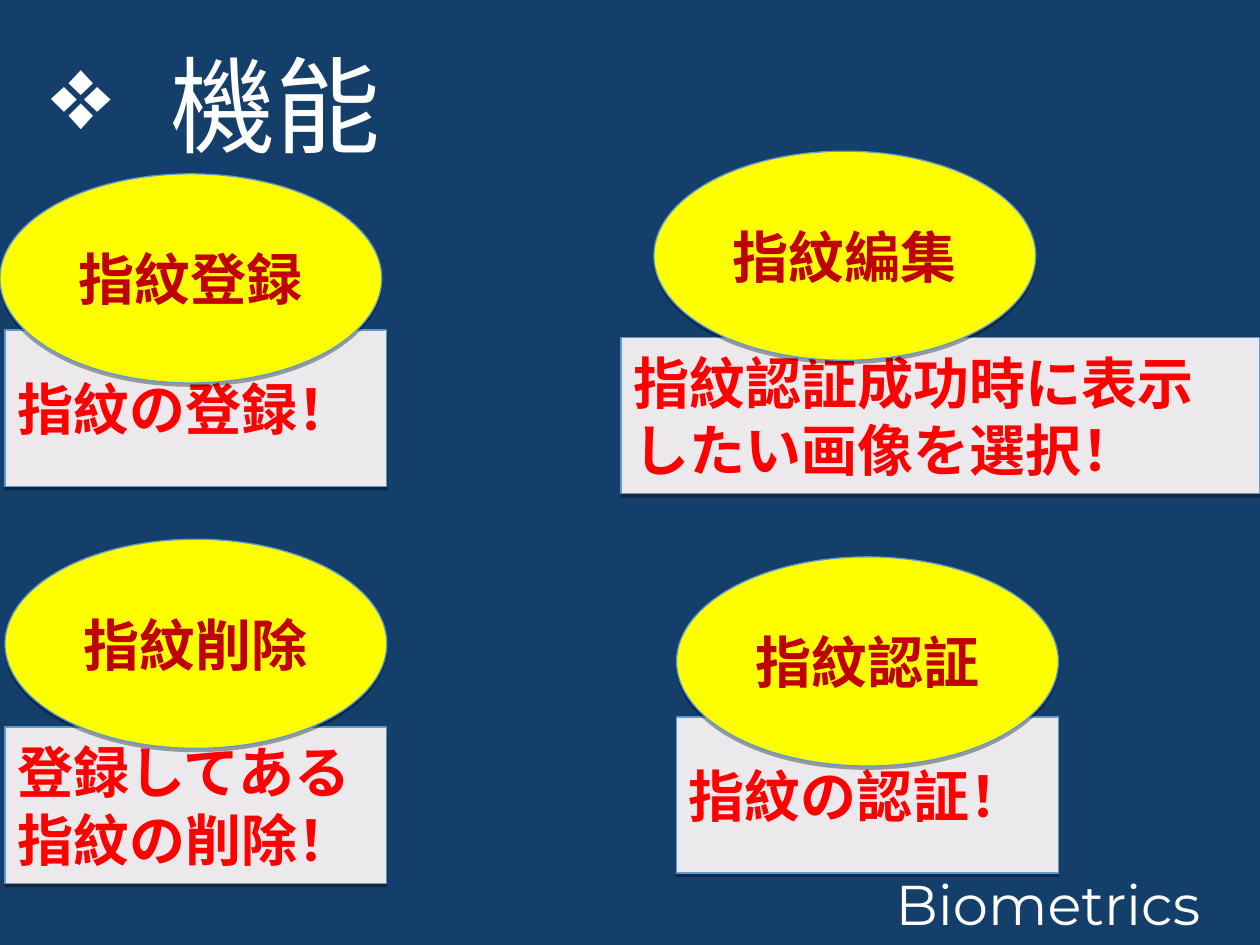
from dataclasses import dataclass

from lxml.etree import SubElement
from pptx import Presentation
from pptx.dml.color import RGBColor
from pptx.enum.shapes import MSO_SHAPE
from pptx.enum.text import MSO_ANCHOR, MSO_AUTO_SIZE, PP_ALIGN
from pptx.oxml.ns import qn
from pptx.util import Inches, Pt

NAVY = RGBColor(0x14, 0x3F, 0x6A)
WHITE = RGBColor(0xFF, 0xFF, 0xFF)
PALE_GRAY = RGBColor(0xEB, 0xE9, 0xEC)
YELLOW = RGBColor(0xFF, 0xFF, 0x00)
RED = RGBColor(0xFF, 0x00, 0x00)
DARK_RED = RGBColor(0xC0, 0x00, 0x00)
OUTLINE_BLUE = RGBColor(0x5D, 0x9A, 0xCF)

FEATURE_WIDTH = 3.03
BOX_HEIGHT = 1.24
ELLIPSE_HEIGHT = 1.66


@dataclass(frozen=True)
class Style:
    geometry: MSO_SHAPE
    fill: RGBColor
    text_color: RGBColor
    alignment: PP_ALIGN
    height: float


@dataclass(frozen=True)
class Feature:
    name: str
    description: str
    ellipse_left: float
    ellipse_top: float
    box_left: float
    box_top: float
    box_width: float = FEATURE_WIDTH


BOX = Style(MSO_SHAPE.RECTANGLE, PALE_GRAY, RED, PP_ALIGN.LEFT, BOX_HEIGHT)
ELLIPSE = Style(MSO_SHAPE.OVAL, YELLOW, DARK_RED, PP_ALIGN.CENTER, ELLIPSE_HEIGHT)

FEATURES = [
    Feature("指紋登録", "指紋の登録！", 0, 1.38, 0.04, 2.62),
    Feature("指紋削除", "登録してある指紋の削除！", 0.04, 4.28, 0.04, 5.77),
    Feature("指紋編集", "指紋認証成功時に表示したい画像を選択！", 5.19, 1.2, 4.93, 2.68, 5.07),
    Feature("指紋認証", "指紋の認証！", 5.37, 4.42, 5.37, 5.69),
]


def write_text(shape, text: str, color: RGBColor, size: float = 32,
               font_name: str = "Calibri", bold: bool = False,
               alignment: PP_ALIGN = PP_ALIGN.LEFT,
               anchor: MSO_ANCHOR = MSO_ANCHOR.TOP) -> None:
    frame = shape.text_frame
    frame_format = {"word_wrap": True, "auto_size": MSO_AUTO_SIZE.NONE,
                    "vertical_anchor": anchor}
    for attribute, value in frame_format.items():
        setattr(frame, attribute, value)
    paragraph = frame.paragraphs[0]
    paragraph.alignment = alignment
    run = paragraph.add_run()
    run.text = text
    font_format = {"name": font_name, "size": Pt(size), "bold": bold}
    for attribute, value in font_format.items():
        setattr(run.font, attribute, value)
    run.font.color.rgb = color


def add_shadow(shape) -> None:
    shape.shadow.inherit = False
    effects = shape.element.spPr.find(qn("a:effectLst"))
    shadow = SubElement(effects, qn("a:outerShdw"), blurRad="0",
                        dist=str(Pt(1.8)), dir="5400000", rotWithShape="0")
    color = SubElement(shadow, qn("a:srgbClr"), val="000000")
    SubElement(color, qn("a:alpha"), val="35000")


def add_label(slide, text: str, style: Style, left: float, top: float,
              width: float = FEATURE_WIDTH) -> None:
    shape = slide.shapes.add_shape(style.geometry, Inches(left), Inches(top),
                                   Inches(width), Inches(style.height))
    shape.fill.solid()
    shape.fill.fore_color.rgb = style.fill
    shape.line.color.rgb = OUTLINE_BLUE
    shape.line.width = Pt(0.75)
    add_shadow(shape)
    write_text(shape, text, style.text_color, bold=True,
               alignment=style.alignment, anchor=MSO_ANCHOR.MIDDLE)


def add_title(slide) -> None:
    title = slide.shapes.title
    position = {"left": 0.31, "top": 0.27, "width": 7.65, "height": 1.1}
    for attribute, value in position.items():
        setattr(title, attribute, Inches(value))
    properties = title.text_frame.paragraphs[0]._p.get_or_add_pPr()
    properties.set("marL", str(Inches(0.94)))
    properties.set("indent", str(Inches(-0.94)))
    bullet_color = SubElement(properties, qn("a:buClr"))
    SubElement(bullet_color, qn("a:srgbClr"), val=str(WHITE))
    SubElement(properties, qn("a:buChar"), char="❖")
    write_text(title, "機能", WHITE, size=60)


def main() -> None:
    presentation = Presentation()
    presentation.slide_width = Inches(10)
    presentation.slide_height = Inches(7.5)
    slide = presentation.slides.add_slide(presentation.slide_layouts[5])
    slide.background.fill.solid()
    slide.background.fill.fore_color.rgb = NAVY

    add_title(slide)
    for feature in FEATURES:
        add_label(slide, feature.description, BOX, feature.box_left,
                  feature.box_top, feature.box_width)
    subject = slide.shapes.add_textbox(Inches(7.01), Inches(6.85),
                                       Inches(2.99), Inches(0.64))
    write_text(subject, "Biometrics", WHITE, font_name="Montserrat")
    for feature in FEATURES:
        add_label(slide, feature.name, ELLIPSE, feature.ellipse_left,
                  feature.ellipse_top)

    presentation.save("out.pptx")


if __name__ == "__main__":
    main()
